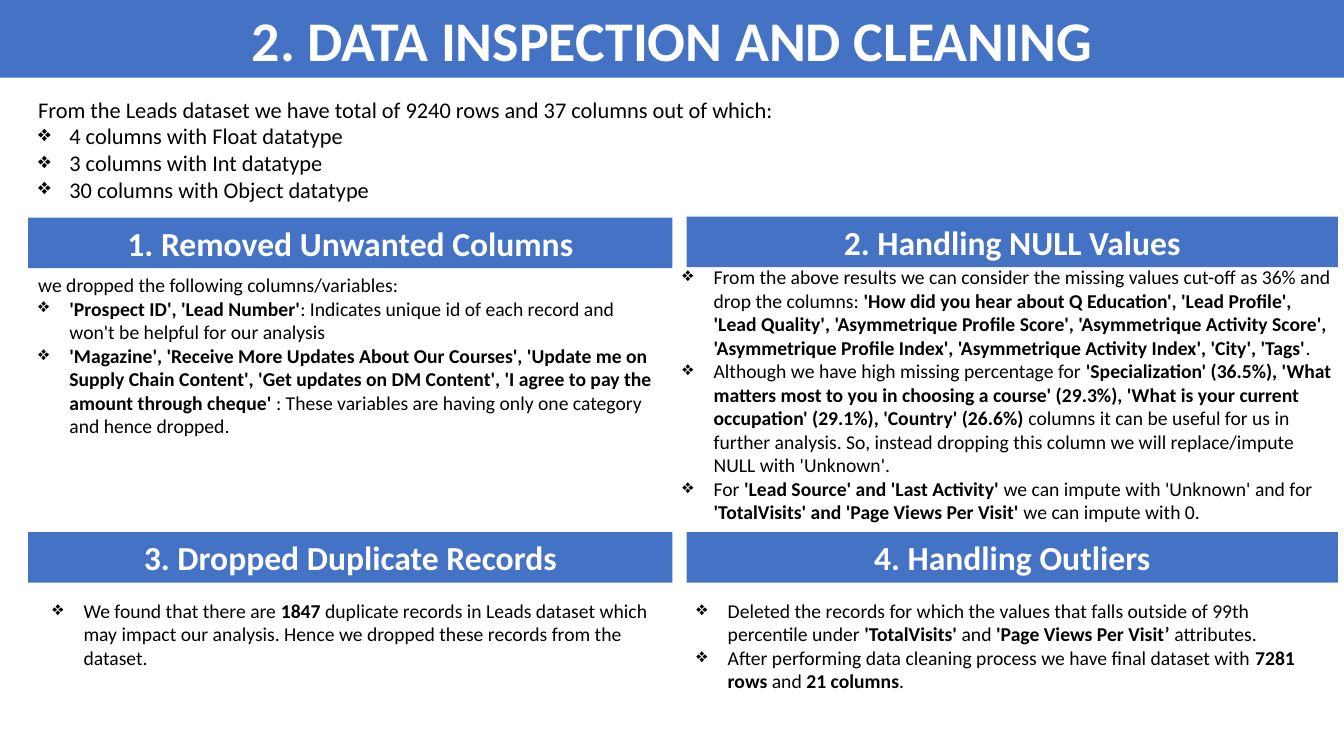
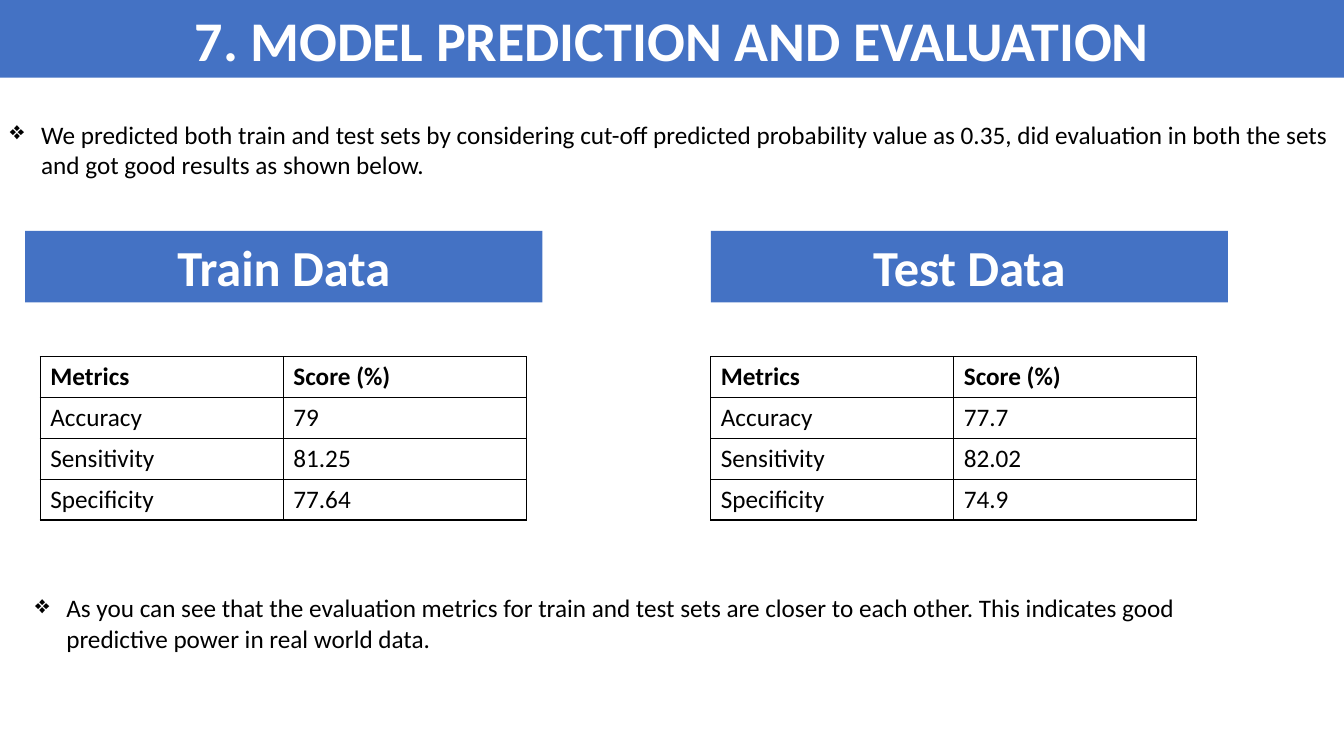
from dataclasses import dataclass

import pptx
import pptx.dml.color
import pptx.enum.shapes
import pptx.enum.text
import pptx.oxml
import pptx.oxml.ns
import pptx.presentation
import pptx.slide
import pptx.text.text
import pptx.util

EMU_PER_PX = 9144
SLIDE_WIDTH, SLIDE_HEIGHT = 1333, 750
FONT = "Calibri"
BLUE, WHITE, BLACK = "4472C4", "FFFFFF", "000000"
BULLET_INDENT = 31
BULLET = "❖"
BOLD_MARK = "*"
TITLE_HEIGHT = 77


@dataclass(frozen=True)
class Frame:
    left: int
    top: int
    width: int
    height: int


@dataclass(frozen=True)
class Band:
    frame: Frame
    text: str
    size: int


@dataclass(frozen=True)
class TextBlock:
    frame: Frame
    size: int
    bullets: tuple[str, ...]
    lead: str = ""


@dataclass(frozen=True)
class ScoreTable:
    frame: Frame
    scores: tuple[str, str, str]


def px(length: int) -> pptx.util.Emu:
    return pptx.util.Emu(length * EMU_PER_PX)


def place(frame: Frame) -> tuple[pptx.util.Emu, ...]:
    return px(frame.left), px(frame.top), px(frame.width), px(frame.height)


def color(value: str) -> pptx.dml.color.RGBColor:
    return pptx.dml.color.RGBColor.from_string(value)


def style(span: pptx.text.text._Run, size: int, value: str, bold: bool) -> None:
    span.font.name = FONT
    span.font.size = pptx.util.Pt(size)
    span.font.bold = bold
    span.font.color.rgb = color(value)


def draw_band(page: pptx.slide.Slide, band: Band) -> None:
    box = page.shapes.add_shape(
        pptx.enum.shapes.MSO_SHAPE.RECTANGLE, *place(band.frame)
    )
    box.shadow.inherit = False
    box.fill.solid()
    box.fill.fore_color.rgb = color(BLUE)
    box.line.fill.background()
    frame = box.text_frame
    frame.text = band.text
    frame.word_wrap = True
    frame.auto_size = pptx.enum.text.MSO_AUTO_SIZE.SHAPE_TO_FIT_TEXT
    frame.vertical_anchor = pptx.enum.text.MSO_ANCHOR.MIDDLE
    para = frame.paragraphs[0]
    para.alignment = pptx.enum.text.PP_ALIGN.CENTER
    style(para.runs[0], band.size, WHITE, True)


def add_bullet(para: pptx.text.text._Paragraph) -> None:
    properties = para._p.get_or_add_pPr()
    properties.set("marL", str(px(BULLET_INDENT)))
    properties.set("indent", str(-px(BULLET_INDENT)))
    properties.append(pptx.oxml.parse_xml(
        f'<a:buChar {pptx.oxml.ns.nsdecls("a")} char="{BULLET}"/>'
    ))


def write_spans(para: pptx.text.text._Paragraph, text: str, size: int) -> None:
    for index, part in enumerate(text.split(BOLD_MARK)):
        if part:
            span = para.add_run()
            span.text = part
            style(span, size, BLACK, index % 2 == 1)


def draw_text(page: pptx.slide.Slide, block: TextBlock) -> None:
    frame = page.shapes.add_textbox(*place(block.frame)).text_frame
    frame.word_wrap = True
    frame.auto_size = pptx.enum.text.MSO_AUTO_SIZE.SHAPE_TO_FIT_TEXT
    lines = ((block.lead,) if block.lead else ()) + block.bullets
    for index, line in enumerate(lines):
        para = frame.add_paragraph() if index else frame.paragraphs[0]
        write_spans(para, line, block.size)
        if line != block.lead:
            add_bullet(para)


def draw_table(page: pptx.slide.Slide, scores: ScoreTable) -> None:
    rows = (("Metrics", "Score (%)"),) + tuple(
        zip(("Accuracy", "Sensitivity", "Specificity"), scores.scores)
    )
    table = page.shapes.add_table(len(rows), 2, *place(scores.frame)).table
    table.horz_banding = False
    for row, texts in enumerate(rows):
        for column, text in enumerate(texts):
            cell = table.cell(row, column)
            cell.text = text
            style(cell.text_frame.paragraphs[0].runs[0], 18, BLACK, row == 0)
            properties = cell._tc.get_or_add_tcPr()
            for side in ("lnL", "lnR", "lnT", "lnB"):
                properties.append(pptx.oxml.parse_xml(
                    f'<a:{side} {pptx.oxml.ns.nsdecls("a")} w="{pptx.util.Pt(1)}">'
                    f'<a:solidFill><a:srgbClr val="{BLACK}"/></a:solidFill></a:{side}>'
                ))
            cell.fill.solid()
            cell.fill.fore_color.rgb = color(WHITE)


def add_page(
    deck: pptx.presentation.Presentation,
    title: str,
    bands: tuple[Band, ...],
    blocks: tuple[TextBlock, ...],
    tables: tuple[ScoreTable, ...] = (),
) -> None:
    page = deck.slides.add_slide(deck.slide_layouts[6])
    title_band = Band(Frame(0, 0, SLIDE_WIDTH, TITLE_HEIGHT), title, 40)
    for block in blocks:
        draw_text(page, block)
    for band in (title_band,) + bands:
        draw_band(page, band)
    for table in tables:
        draw_table(page, table)


CLEANING_BANDS = (
    Band(Frame(28, 216, 639, 50), "1. Removed Unwanted Columns", 24),
    Band(Frame(681, 215, 646, 50), "2. Handling NULL Values", 24),
    Band(Frame(28, 528, 639, 50), "3. Dropped Duplicate Records", 24),
    Band(Frame(681, 528, 646, 50), "4. Handling Outliers", 24),
)

CLEANING_BLOCKS = (
    TextBlock(
        Frame(28, 90, 1305, 118),
        16,
        (
            "4 columns with Float datatype",
            "3 columns with Int datatype",
            "30 columns with Object datatype",
        ),
        "From the Leads dataset we have total of 9240 rows and 37 columns out of which:",
    ),
    TextBlock(
        Frame(28, 266, 639, 175),
        14,
        (
            "*'Prospect ID', 'Lead Number'*: Indicates unique id of each record and "
            "won't be helpful for our analysis",
            "*'Magazine', 'Receive More Updates About Our Courses', 'Update me on "
            "Supply Chain Content', 'Get updates on DM Content', 'I agree to pay the "
            "amount through cheque'* : These variables are having only one category "
            "and hence dropped.",
        ),
        "we dropped the following columns/variables:",
    ),
    TextBlock(
        Frame(667, 258, 667, 269),
        14,
        (
            "From the above results we can consider the missing values cut-off as 36% "
            "and drop the columns: *'How did you hear about Q Education', "
            "'Lead Profile', 'Lead Quality', 'Asymmetrique Profile Score', "
            "'Asymmetrique Activity Score', 'Asymmetrique Profile Index', "
            "'Asymmetrique Activity Index', 'City', 'Tags'*.",
            "Although we have high missing percentage for *'Specialization' (36.5%), "
            "'What matters most to you in choosing a course' (29.3%), 'What is your "
            "current occupation' (29.1%), 'Country' (26.6%)* columns it can be useful "
            "for us in further analysis. So, instead dropping this column we will "
            "replace/impute NULL with 'Unknown'.",
            "For *'Lead Source' and 'Last Activity'* we can impute with 'Unknown' and "
            "for *'TotalVisits' and 'Page Views Per Visit'* we can impute with 0.",
        ),
    ),
    TextBlock(
        Frame(42, 589, 639, 81),
        14,
        (
            "We found that there are *1847* duplicate records in Leads dataset which "
            "may impact our analysis. Hence we dropped these records from the dataset.",
        ),
    ),
    TextBlock(
        Frame(681, 589, 646, 104),
        14,
        (
            "Deleted the records for which the values that falls outside of 99th "
            "percentile under *'TotalVisits'* and *'Page Views Per Visit’ *attributes.",
            "After performing data cleaning process we have final dataset with "
            "*7281 rows* and *21 columns*.",
        ),
    ),
)

EVALUATION_BANDS = (
    Band(Frame(25, 229, 513, 71), "Train Data", 36),
    Band(Frame(705, 229, 513, 71), "Test Data", 36),
)

EVALUATION_BLOCKS = (
    TextBlock(
        Frame(0, 113, 1345, 71),
        18,
        (
            "We predicted both train and test sets by considering cut-off predicted "
            "probability value as 0.35, did evaluation in both the sets and got good "
            "results as shown below.",
        ),
    ),
    TextBlock(
        Frame(25, 583, 1193, 71),
        18,
        (
            "As you can see that the evaluation metrics for train and test sets are "
            "closer to each other. This indicates good predictive power in real world "
            "data.",
        ),
    ),
)

EVALUATION_TABLES = (
    ScoreTable(Frame(40, 354, 482, 162), ("79", "81.25", "77.64")),
    ScoreTable(Frame(705, 354, 482, 162), ("77.7", "82.02", "74.9")),
)


def main() -> None:
    deck = pptx.Presentation()
    deck.slide_width = px(SLIDE_WIDTH)
    deck.slide_height = px(SLIDE_HEIGHT)
    add_page(
        deck, "2. DATA INSPECTION AND CLEANING", CLEANING_BANDS, CLEANING_BLOCKS
    )
    add_page(
        deck,
        "7. MODEL PREDICTION AND EVALUATION",
        EVALUATION_BANDS,
        EVALUATION_BLOCKS,
        EVALUATION_TABLES,
    )
    deck.save("out.pptx")


if __name__ == "__main__":
    main()
